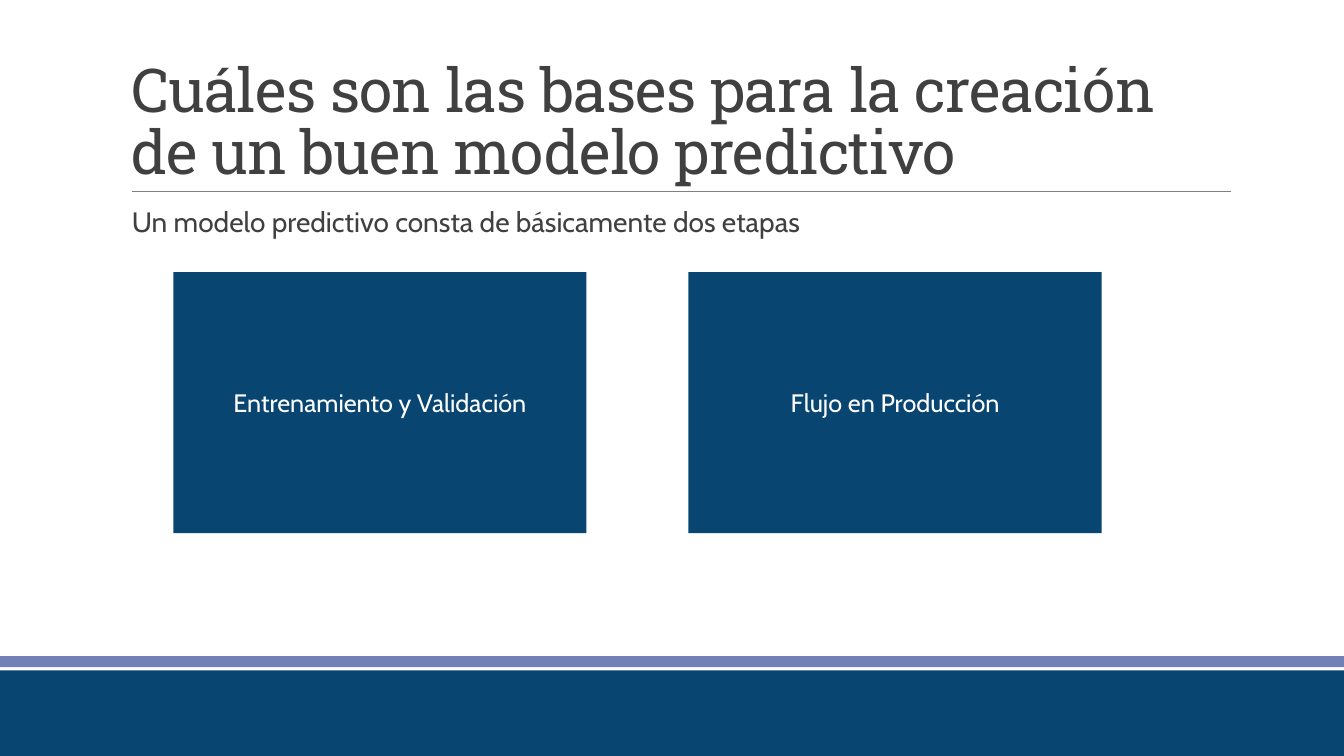
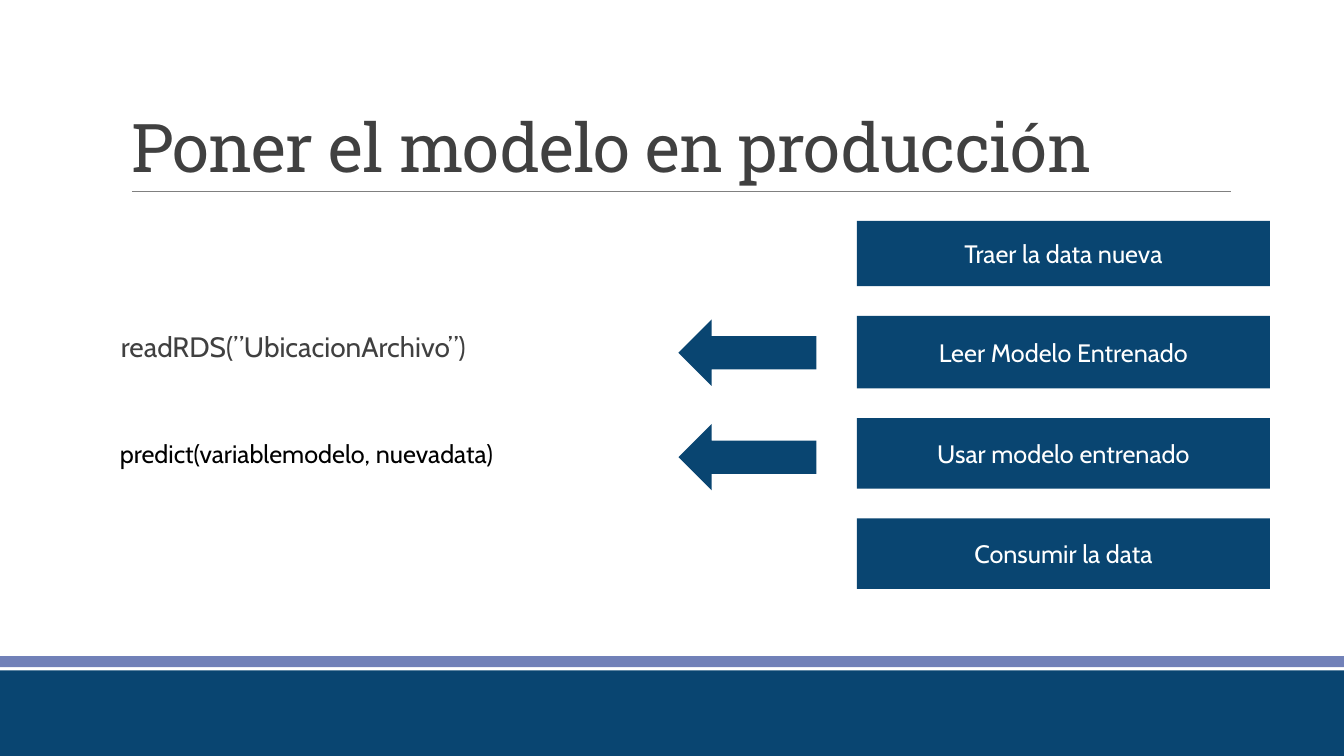
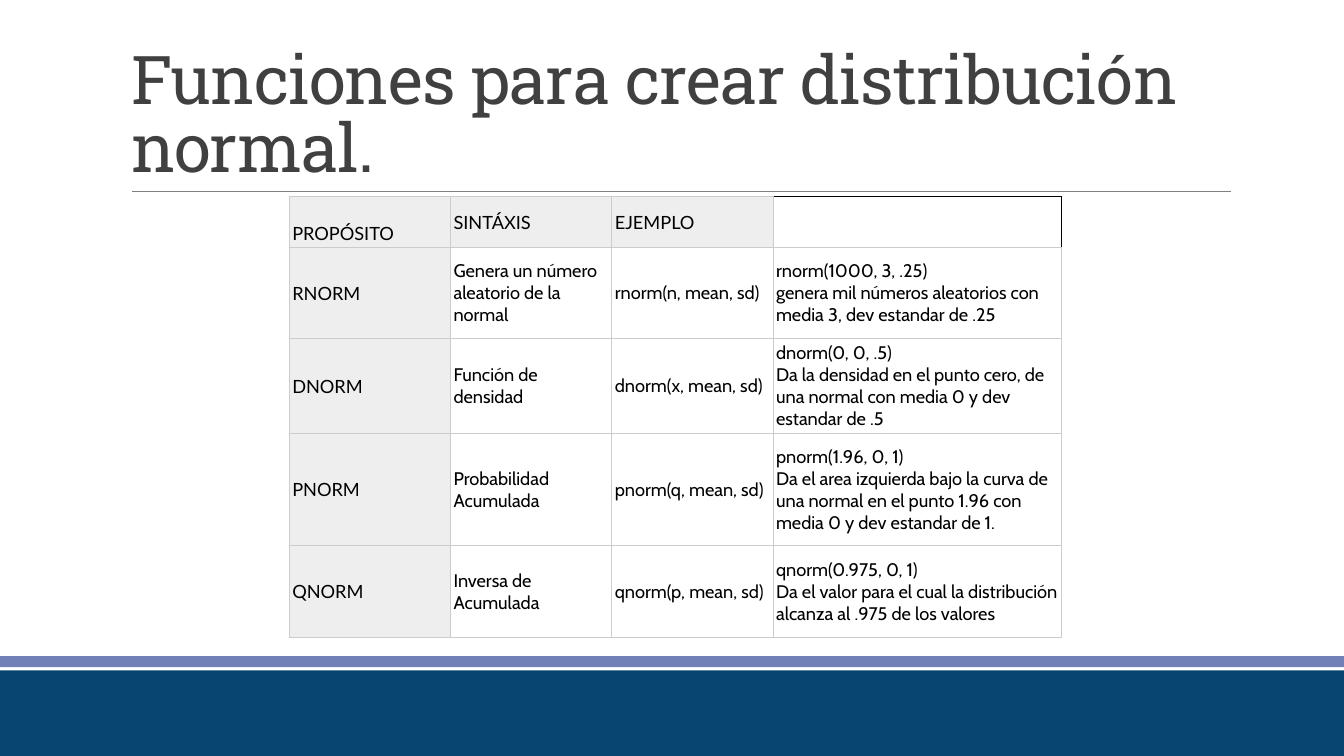
"""Build three slides on predictive models and the normal distribution in R."""
import dataclasses

import lxml.etree
import pptx
import pptx.dml.color
import pptx.enum.shapes
import pptx.enum.text
import pptx.oxml.ns
import pptx.util

Pt = pptx.util.Pt
RGB = pptx.dml.color.RGBColor.from_string
SHAPE = pptx.enum.shapes.MSO_SHAPE
ANCHOR = pptx.enum.text.MSO_ANCHOR
ALIGN = pptx.enum.text.PP_ALIGN
qn = pptx.oxml.ns.qn


@dataclasses.dataclass(frozen=True)
class Theme:
    navy: str = "094571"
    lilac: str = "7181B8"
    rule: str = "808080"
    ink: str = "404040"
    black: str = "000000"
    white: str = "FFFFFF"
    grid: str = "CCCCCC"
    label: str = "EEEEEE"
    head_font: str = "Roboto Slab"
    body_font: str = "Cabin"
    label_font: str = "Lato"
    title: float = 48
    long_title: float = 43.2
    body: float = 20
    box: float = 18
    cell: float = 13


theme = Theme()


def add_block(s, kind, box, fill):
    shape = s.shapes.add_shape(kind, *map(Pt, box))
    shape.shadow.inherit = False
    shape.fill.solid()
    shape.fill.fore_color.rgb = RGB(fill)
    shape.line.fill.background()
    return shape


def write(tf, text, font, size, color, align=ALIGN.LEFT, spacing=None):
    tf.text = text
    tf.word_wrap = True
    for p in tf.paragraphs:
        p.alignment = align
        p.line_spacing = spacing
        for r in p.runs:
            r.font.name = font
            r.font.size = Pt(size)
            r.font.color.rgb = RGB(color)


prs = pptx.Presentation()
prs.slide_width, prs.slide_height = Pt(960), Pt(540)
layout = prs.slide_layouts[5]

titles = [
    ("Cuáles son las bases para la creación de un buen modelo predictivo", theme.long_title),
    ("Poner el modelo en producción", theme.title),
    ("Funciones para crear distribución normal.", theme.title),
]
for text, size in titles:
    s = prs.slides.add_slide(layout)
    title = s.shapes.title
    title.left, title.top, title.width, title.height = map(Pt, (86.4, 22.3, 792, 114.5))
    tf = title.text_frame
    write(tf, text, theme.head_font, size, theme.ink, spacing=0.85)
    tf.auto_size = pptx.enum.text.MSO_AUTO_SIZE.NONE
    tf.vertical_anchor = ANCHOR.BOTTOM
    tf.paragraphs[0].runs[0].font._element.set("spc", "-50")

stages, production, functions = prs.slides

rule = stages.shapes.add_connector(
    pptx.enum.shapes.MSO_CONNECTOR.STRAIGHT, Pt(94.3), Pt(136.8), Pt(879.1), Pt(136.8))
rule.line.color.rgb = RGB(theme.rule)
rule.line.width = Pt(0.5)
lxml.etree.SubElement(rule.element.spPr, qn("a:effectLst"))
stripe = add_block(stages, SHAPE.RECTANGLE, (0, 468.7, 960, 7.9), theme.lilac)
footer = add_block(stages, SHAPE.RECTANGLE, (0, 478.8, 960, 61.2), theme.navy)
for number, shape in enumerate((rule, stripe, footer), 101):
    shape.element.xpath(".//p:cNvPr")[0].set("id", str(number))
    layout.shapes.element.append(shape.element)

notes = [
    (stages, "Un modelo predictivo consta de básicamente dos etapas",
     (87.1, 145.4, 792, 40), theme.body, theme.ink, 0.9),
    (production, "readRDS(”UbicacionArchivo”)",
     (79.2, 234.4, 370, 38), theme.body, theme.ink, 0.9),
    (production, "predict(variablemodelo, nuevadata)",
     (78.5, 309.6, 297, 29), theme.box, theme.black, None),
]
for s, text, box, size, color, spacing in notes:
    tf = s.shapes.add_textbox(*map(Pt, box)).text_frame
    write(tf, text, theme.body_font, size, color, spacing=spacing)

boxes = [
    (stages, "Entrenamiento y Validación", (123.8, 194.4, 295.2, 186.5)),
    (stages, "Flujo en Producción", (491.8, 194.4, 295.2, 186.5)),
]
steps = [
    ("Traer la data nueva", 46.8),
    ("Leer Modelo Entrenado", 51.8),
    ("Usar modelo entrenado", 50.4),
    ("Consumir la data", 50.4),
]
top, gap = 157.7, 21.2
for text, height in steps:
    boxes.append((production, text, (612, top, 295.2, height)))
    top += height + gap
for s, text, box in boxes:
    tf = add_block(s, SHAPE.RECTANGLE, box, theme.navy).text_frame
    tf.vertical_anchor = ANCHOR.MIDDLE
    write(tf, text, theme.body_font, theme.box, theme.white, ALIGN.CENTER)

for top in (228.2, 302.8):
    add_block(production, SHAPE.LEFT_ARROW, (484.6, top, 98.6, 47.5), theme.navy)

rows = [
    ("PROPÓSITO", "SINTÁXIS", "EJEMPLO", ""),
    ("RNORM", "Genera un número aleatorio de la normal", "rnorm(n, mean, sd)",
     "rnorm(1000, 3, .25)\ngenera mil números aleatorios con media 3, dev estandar de .25"),
    ("DNORM", "Función de densidad", "dnorm(x, mean, sd)",
     "dnorm(0, 0, .5)\nDa la densidad en el punto cero, de una normal con media 0 y dev estandar de .5"),
    ("PNORM", "Probabilidad Acumulada", "pnorm(q, mean, sd)",
     "pnorm(1.96, 0, 1)\nDa el area izquierda bajo la curva de una normal en el punto 1.96 con media 0 y dev estandar de 1."),
    ("QNORM", "Inversa de Acumulada", "qnorm(p, mean, sd)",
     "qnorm(0.975, 0, 1)\nDa el valor para el cual la distribución alcanza al .975 de los valores"),
]
widths = [115.2, 115.2, 115.2, 205.9]
heights = [36.4, 65.2, 67.9, 79.9, 65.6]
table = functions.shapes.add_table(
    len(rows), len(widths), Pt(206.6), Pt(140.4), Pt(sum(widths)), Pt(sum(heights))).table
table.first_row = table.horz_banding = False
for column, width in zip(table.columns, widths):
    column.width = Pt(width)
for row, height in zip(table.rows, heights):
    row.height = Pt(height)

for i, row in enumerate(rows):
    for j, text in enumerate(row):
        cell = table.cell(i, j)
        is_label = bool(text) and (i == 0 or j == 0)
        cell.margin_left = cell.margin_right = cell.margin_top = cell.margin_bottom = Pt(2.2)
        cell.vertical_anchor = ANCHOR.BOTTOM if i == j == 0 else ANCHOR.MIDDLE
        write(cell.text_frame, text, theme.label_font if is_label else theme.body_font,
              theme.cell, theme.black)
        tcPr = cell._tc.get_or_add_tcPr()
        for side in ("lnL", "lnR", "lnT", "lnB"):
            color = theme.black if not text and side in ("lnR", "lnT") else theme.grid
            ln = lxml.etree.SubElement(tcPr, qn("a:" + side), w=str(Pt(0.6)))
            fill = lxml.etree.SubElement(ln, qn("a:solidFill"))
            lxml.etree.SubElement(fill, qn("a:srgbClr"), val=color)
        cell.fill.solid()
        cell.fill.fore_color.rgb = RGB(theme.label if is_label else theme.white)

prs.save("out.pptx")
